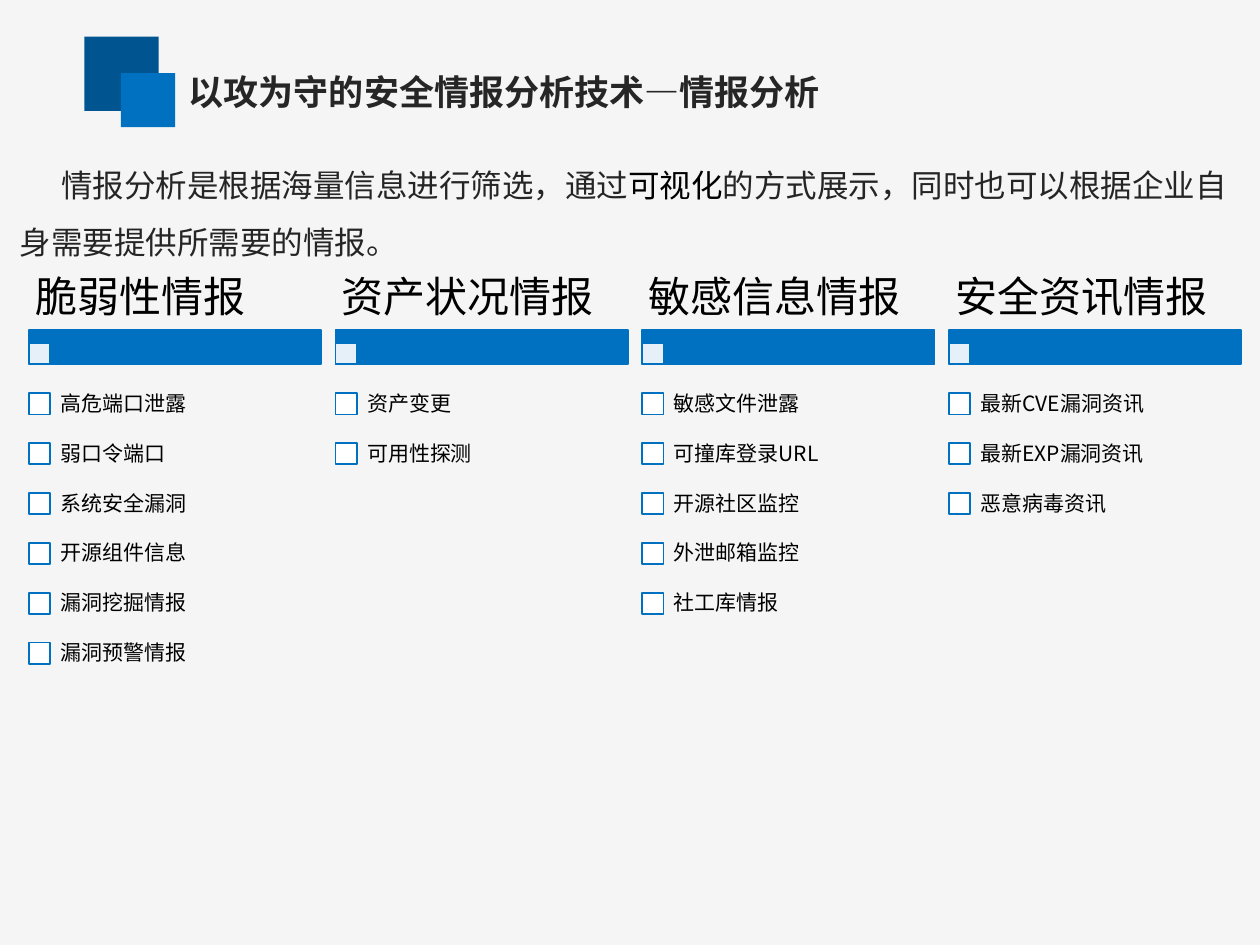
from dataclasses import dataclass

from lxml import etree
from pptx import Presentation
from pptx import util as u
from pptx.dml.color import RGBColor
from pptx.enum import shapes, text
from pptx.oxml.ns import qn


@dataclass(frozen=True)
class Theme:
    font: str = "Noto Sans CJK SC"
    back: str = "F5F5F5"
    navy: str = "005490"
    blue: str = "0070C0"
    white: str = "FFFFFF"
    black: str = "000000"
    dark: str = "262626"
    gray: str = "252525"
    title: int = 20
    body: int = 18
    head: int = 24
    item: int = 12


class Deck:
    def __init__(self, theme):
        self.theme = theme
        self.prs = Presentation()
        self.prs.slide_width = u.Inches(10)
        self.prs.slide_height = u.Inches(7.5)
        self.slide = self.prs.slides.add_slide(self.prs.slide_layouts[6])
        fill = self.slide.background.fill
        fill.solid()
        fill.fore_color.rgb = RGBColor.from_string(theme.back)

    def rect(self, x, y, w, h, color, line=None, alpha=100):
        box = self.slide.shapes.add_shape(
            shapes.MSO_SHAPE.RECTANGLE, *map(u.Inches, (x, y, w, h)))
        box.shadow.inherit = False
        box.fill.solid()
        box.fill.fore_color.rgb = RGBColor.from_string(color)
        if alpha < 100:
            tint = box.fill._xPr.find(qn("a:solidFill"))[0]
            etree.SubElement(tint, qn("a:alpha"), val=str(alpha * 1000))
        if line:
            box.line.color.rgb = RGBColor.from_string(line)
            box.line.width = u.Pt(1)
        else:
            box.line.fill.background()

    def text(self, x, y, w, h, parts, size, bold=None, inset=(0.1, 0.05)):
        """Add one paragraph made of (wording, colour) parts."""
        box = self.slide.shapes.add_textbox(*map(u.Inches, (x, y, w, h)))
        frame = box.text_frame
        frame.word_wrap = True
        frame.margin_left = frame.margin_right = u.Inches(inset[0])
        frame.margin_top = frame.margin_bottom = u.Inches(inset[1])
        para = frame.paragraphs[0]
        for words, color in parts:
            run = para.add_run()
            run.text = words
            run.font.size = u.Pt(size)
            run.font.bold = bold
            run.font.name = self.theme.font
            run.font.color.rgb = RGBColor.from_string(color)
            etree.SubElement(run.font._element, qn("a:ea"),
                             typeface=self.theme.font)
        return frame

    def label(self, x, y, w, h, words, size, inset):
        """Add a vertically centred line with tight spacing."""
        frame = self.text(x, y, w, h, [(words, self.theme.black)], size,
                          inset=inset)
        frame.vertical_anchor = text.MSO_ANCHOR.MIDDLE
        para = frame.paragraphs[0]
        para.line_spacing = 0.9
        para.space_after = u.Pt(size * 0.35)

    def column(self, x, head, items):
        t = self.theme
        wide, side, step = 2.32, 0.17, 1.98 / 5
        self.rect(x, 2.62, wide, 0.27, t.blue, t.blue)
        self.rect(x, 2.72, side, side, t.white, t.blue, alpha=90)
        self.label(x, 2.13, wide, 0.49, head, t.head, (0.05, 0.03))
        for row, item in enumerate(items):
            y = 3.12 + row * step
            self.rect(x, y, side, side, t.white, t.blue)
            self.label(x + 0.16, y - 0.11, 2.15, 0.4, item, t.item,
                       (0.09, 0.09))


COLUMNS = {
    "脆弱性情报": ["高危端口泄露", "弱口令端口", "系统安全漏洞",
              "开源组件信息", "漏洞挖掘情报", "漏洞预警情报"],
    "资产状况情报": ["资产变更", "可用性探测"],
    "敏感信息情报": ["敏感文件泄露", "可撞库登录URL", "开源社区监控",
               "外泄邮箱监控", "社工库情报"],
    "安全资讯情报": ["最新CVE漏洞资讯", "最新EXP漏洞资讯", "恶意病毒资讯"],
}


def main():
    t = Theme()
    deck = Deck(t)
    deck.rect(0.67, 0.29, 0.59, 0.59, t.navy)
    deck.rect(0.96, 0.58, 0.43, 0.43, t.blue)
    title = deck.text(1.4, 0.51, 7.78, 0.44,
                      [("以攻为守的安全情报分析技术—情报分析", t.dark)],
                      t.title, bold=True)
    intro = deck.text(0.06, 1.12, 9.94, 1.01, [
        ("情报分析是根据海量信息进行筛选，通过", t.gray),
        ("可视化", t.black),
        ("的方式展示，同时也可以根据企业自身需要提供所需要的情报。", t.gray),
    ], t.body)
    for frame in (title, intro):
        frame.auto_size = text.MSO_AUTO_SIZE.SHAPE_TO_FIT_TEXT
    para = intro.paragraphs[0]
    para.line_spacing = 1.5
    para._p.get_or_add_pPr().set("indent", str(u.Inches(0.33)))

    pitch = 7.3 / 3
    for col, (head, items) in enumerate(COLUMNS.items()):
        deck.column(0.23 + col * pitch, head, items)
    deck.prs.save("out.pptx")


if __name__ == "__main__":
    main()
